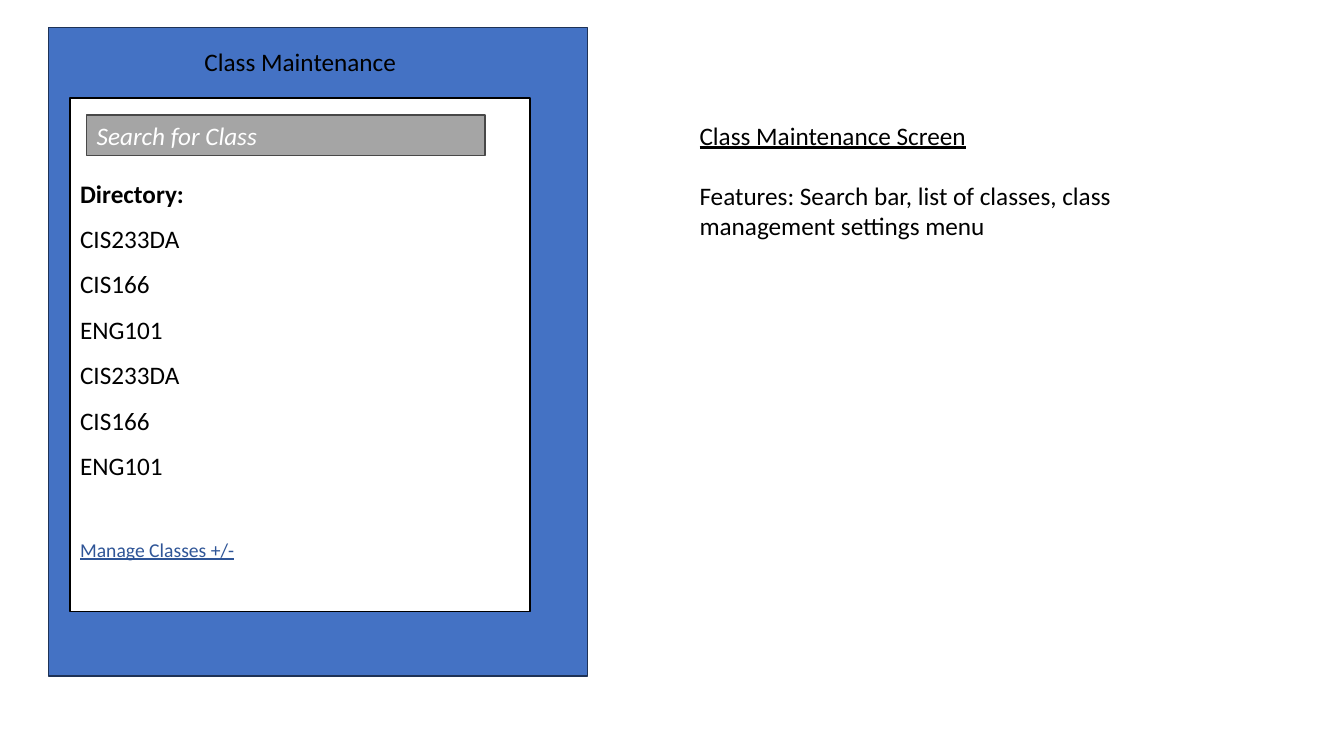
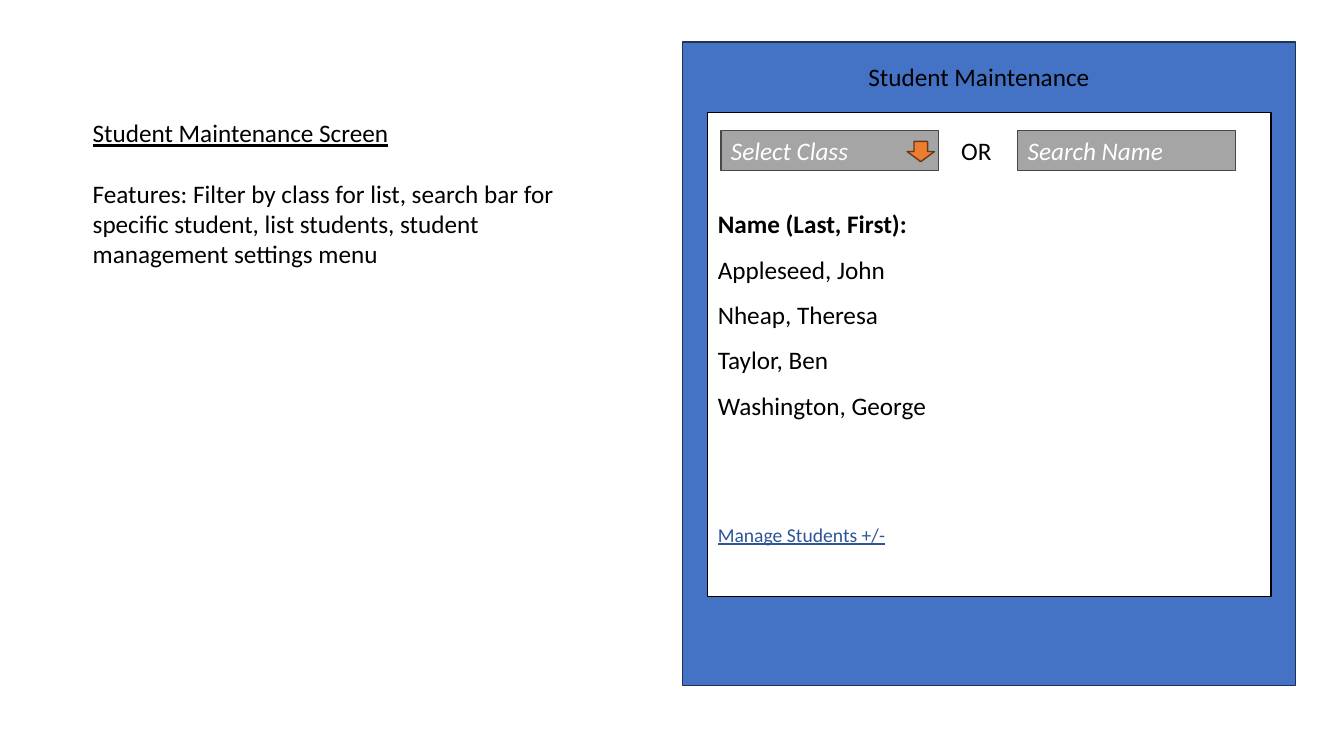
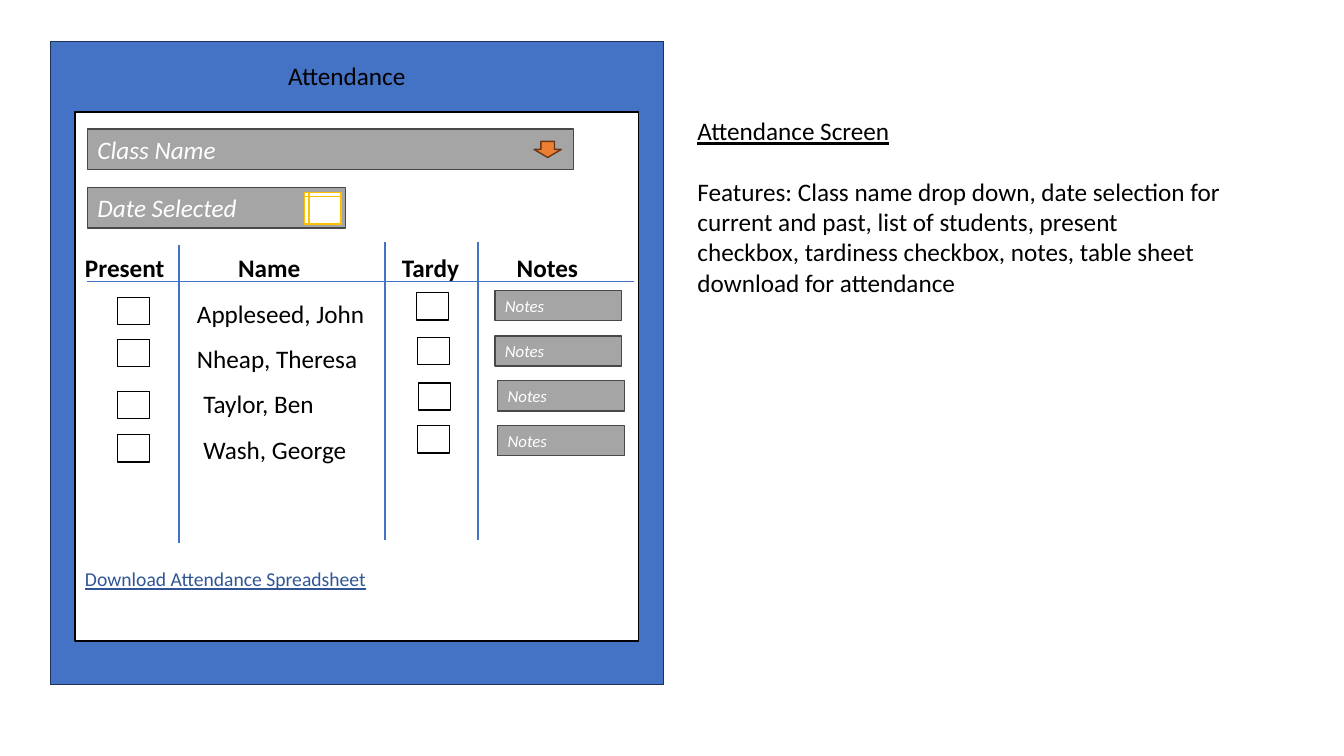
from lxml.etree import SubElement
from pptx import Presentation
from pptx.dml.color import RGBColor
from pptx.enum.shapes import MSO_CONNECTOR, MSO_SHAPE
from pptx.enum.text import MSO_ANCHOR, MSO_AUTO_SIZE, PP_ALIGN
from pptx.oxml.ns import qn
from pptx.util import Pt

FONT = "Calibri"
BLACK = RGBColor(0x00, 0x00, 0x00)
WHITE = RGBColor(0xFF, 0xFF, 0xFF)
BLUE = RGBColor(0x44, 0x72, 0xC4)
NAVY = RGBColor(0x1E, 0x32, 0x56)
LINK = RGBColor(0x2F, 0x55, 0x97)
GREY = RGBColor(0xA5, 0xA5, 0xA5)
DARK_GREY = RGBColor(0x48, 0x48, 0x48)
ORANGE = RGBColor(0xED, 0x7D, 0x31)
BROWN = RGBColor(0x68, 0x37, 0x15)
GOLD = RGBColor(0xFF, 0xC0, 0x00)


def write(paragraph, text, size=18, color=BLACK, bold=False, italic=False,
          underline=False, before=0, spacing=1.0, indent=0):
    properties = paragraph._p.get_or_add_pPr()
    properties.set("marL", str(Pt(indent)))
    properties.set("indent", "0")
    SubElement(properties, qn("a:buNone"))
    paragraph.space_before = Pt(before)
    paragraph.line_spacing = spacing
    run = paragraph.add_run()
    run.text = text
    font = run.font
    font.name, font.size, font.color.rgb = FONT, Pt(size), color
    font.bold, font.italic, font.underline = bold, italic, underline


def box(slide, at, fill, outline, label="", size=18, preset=MSO_SHAPE.RECTANGLE):
    shape = slide.shapes.add_shape(preset, *map(Pt, at))
    shape.shadow.inherit = False
    shape.fill.solid()
    shape.fill.fore_color.rgb = fill
    shape.line.color.rgb = outline
    shape.line.width = Pt(1)
    if label:
        shape.text_frame.vertical_anchor = MSO_ANCHOR.MIDDLE
        paragraph = shape.text_frame.paragraphs[0]
        paragraph.alignment = PP_ALIGN.LEFT
        write(paragraph, label, size, WHITE, italic=True)
    return shape


screens = [
    dict(title="Class Maintenance", title_at=(75.5, 29.5, 278, 29),
         frame=(34.5, 19.5, 385, 463.5), panel=(50, 70, 328.5, 367),
         top=57.2, heading="Directory:",
         rows=[(name, 0) for name in ("CIS233DA", "CIS166", "ENG101") * 2],
         link="Manage Classes +/-", link_gap=32.4,
         about_at=(492.5, 82, 389, 94.5),
         features="Search bar, list of classes, class management settings menu",
         fields=[("Search for Class", (62, 82, 284.5, 29))],
         arrows=[], captions=[]),
    dict(title="Student Maintenance", title_at=(605, 40.5, 188.5, 29),
         frame=(487.5, 30, 438, 459.5), panel=(505.5, 80.5, 402.5, 345.5),
         top=68.4, heading="Name (Last, First):",
         rows=[("Appleseed, John", 0), ("Nheap, Theresa", 0),
               ("Taylor, Ben", 0), ("Washington, George", 0)],
         link="Manage Students +/-", link_gap=64.8,
         about_at=(59, 80.5, 389, 116.5),
         features="Filter by class for list, search bar for specific student, "
                  "list students, student management settings menu",
         fields=[("Select Class", (515, 93, 155.5, 29)),
                 ("Search Name", (727, 93, 155.5, 29))],
         arrows=[(648, 101, 19.5, 14.5)],
         captions=[("OR", (679.5, 93, 38, 29), False)]),
    dict(title="Attendance", title_at=(153.5, 39.5, 188.5, 29),
         frame=(36, 29.5, 438, 459.5), panel=(53.5, 80, 402.5, 378),
         top=100.5, heading="Present",
         rows=[("Appleseed, John", 80), ("Nheap, Theresa", 80),
               ("Taylor, Ben", 84.5), ("Wash, George", 84.5)],
         link="Download Attendance Spreadsheet", link_gap=64.8,
         about_at=(491, 79, 389, 138),
         features="Class name drop down, date selection for current and past, "
                  "list of students, present checkbox, tardiness checkbox, notes, "
                  "table sheet download for attendance",
         fields=[("Class Name", (62.5, 92, 347, 29)),
                 ("Date Selected", (62.5, 134, 184.5, 29))],
         arrows=[(381.5, 101, 19.5, 11.5)],
         captions=[("Name", (163, 176.5, 65, 29), True),
                   ("Tardy", (280, 176.5, 65, 29), True),
                   ("Notes", (362, 176.5, 65, 29), True)]),
]

deck = Presentation()
deck.slide_width, deck.slide_height = Pt(960), Pt(540)

for screen in screens:
    slide = deck.slides.add_slide(deck.slide_layouts[3])
    title, panel, about = slide.placeholders
    frame = box(slide, screen["frame"], BLUE, NAVY)
    frame.element.getparent().insert(2, frame.element)

    for holder, at in ((title, "title_at"), (panel, "panel"), (about, "about_at")):
        holder.left, holder.top, holder.width, holder.height = map(Pt, screen[at])
        holder.text_frame.word_wrap = True
        holder.text_frame.auto_size = MSO_AUTO_SIZE.NONE
        holder.text_frame.vertical_anchor = MSO_ANCHOR.TOP

    heading = title.text_frame.paragraphs[0]
    heading.alignment = PP_ALIGN.CENTER
    write(heading, screen["title"])

    panel.fill.solid()
    panel.fill.fore_color.rgb = WHITE
    panel.line.color.rgb = BLACK
    panel.line.width = Pt(1)
    listing = panel.text_frame
    listing.margin_top = Pt(screen["top"])
    write(listing.paragraphs[0], screen["heading"], bold=True)
    for name, indent in screen["rows"]:
        write(listing.add_paragraph(), name, spacing=1.5, indent=indent)
    write(listing.add_paragraph(), screen["link"], 14, LINK, underline=True,
          before=screen["link_gap"], spacing=1.5)

    write(about.text_frame.paragraphs[0], screen["title"] + " Screen", underline=True)
    write(about.text_frame.add_paragraph(), "Features: " + screen["features"], before=21.6)

    for label, at in screen["fields"]:
        box(slide, at, GREY, DARK_GREY, label)
    for at in screen["arrows"]:
        box(slide, at, ORANGE, BROWN, preset=MSO_SHAPE.DOWN_ARROW)
    for label, at, bold in screen["captions"]:
        caption = slide.shapes.add_textbox(*map(Pt, at)).text_frame
        caption.word_wrap = True
        write(caption.paragraphs[0], label, bold=bold)

attendance = deck.slides[2]
box(attendance, (217.5, 137.5, 26, 22.5), WHITE, GOLD,
    preset=MSO_SHAPE.FLOWCHART_INTERNAL_STORAGE)

present_tops = (212.5, 242.5, 279.5, 310.5)
tardy_corners = ((297.5, 209), (298, 241), (299, 273.5), (298, 304))
note_corners = ((353.5, 207.5), (353.5, 240), (355.5, 272), (355.5, 304))
for present_top, tardy, note in zip(present_tops, tardy_corners, note_corners):
    box(attendance, (84, present_top, 23, 19.5), WHITE, BLACK)
    box(attendance, (*tardy, 23, 19.5), WHITE, BLACK)
    box(attendance, (*note, 90.5, 21.5), GREY, DARK_GREY, "Notes", 12)

rules = [(128, 175, 128, 388), (275, 173, 275, 386),
         (341.5, 173, 341.5, 386), (62.5, 201, 453, 201)]
for ends in rules:
    rule = attendance.shapes.add_connector(MSO_CONNECTOR.STRAIGHT, *map(Pt, ends))
    rule.line.color.rgb = BLUE
    rule.line.width = Pt(1)
    SubElement(rule.element.spPr, qn("a:effectLst"))

deck.save("out.pptx")
